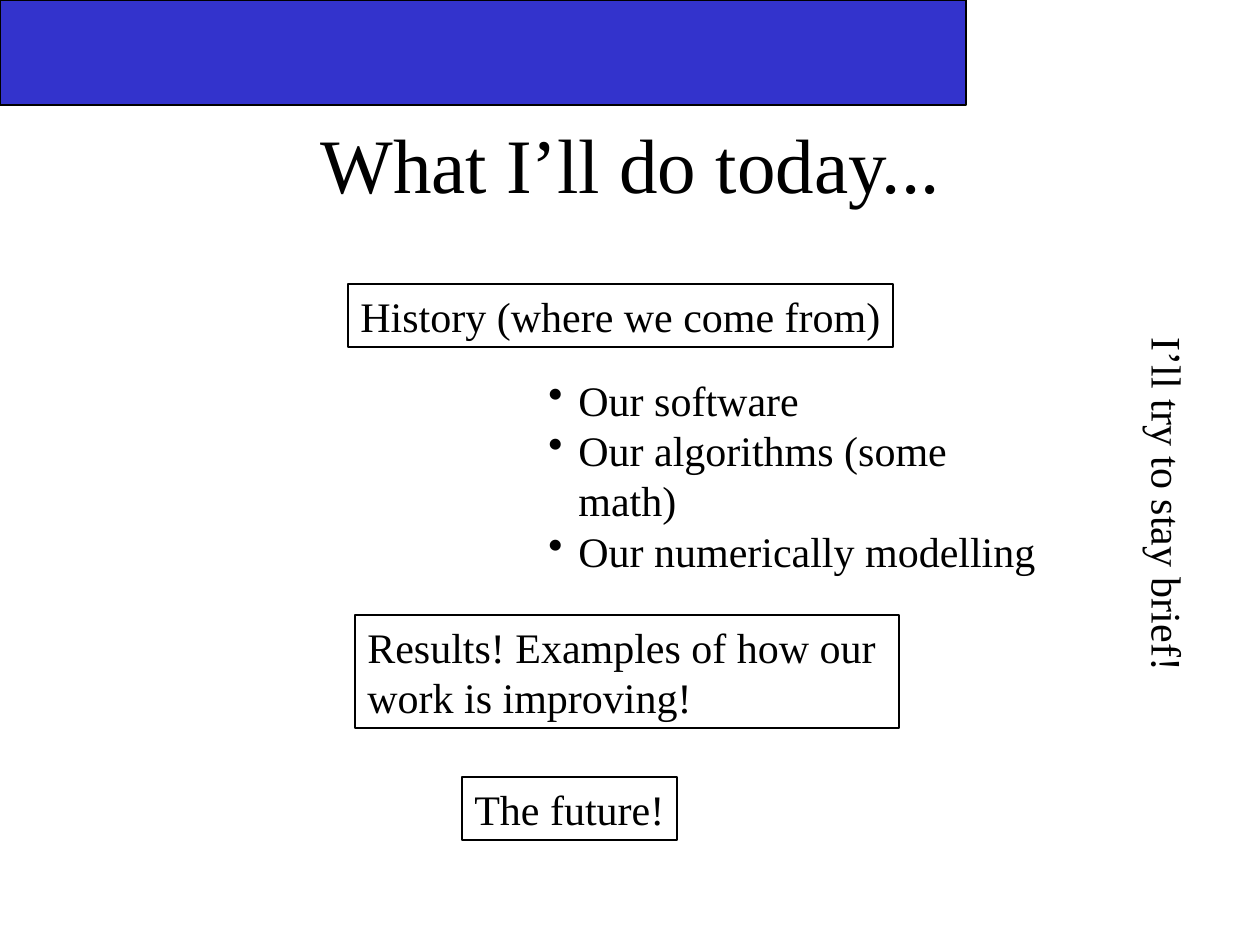
from dataclasses import dataclass

from lxml.etree import SubElement
from pptx import Presentation
from pptx.dml.color import RGBColor
from pptx.enum.shapes import MSO_SHAPE
from pptx.enum.text import MSO_ANCHOR, PP_ALIGN
from pptx.oxml.ns import qn
from pptx.shapes.autoshape import Shape
from pptx.slide import Slide
from pptx.util import Emu, Pt

BLACK = RGBColor(0x00, 0x00, 0x00)
BLUE = RGBColor(0x33, 0x33, 0xCC)
FONT = "Times New Roman"
PX_PER_INCH = 126
BULLET_INDENT = 30


def px(length: int) -> Emu:
    return Emu(round(length * 914400 / PX_PER_INCH))


@dataclass(frozen=True)
class Label:
    text: str
    left: int
    top: int
    width: int
    height: int
    size: int = 24
    align: PP_ALIGN = PP_ALIGN.LEFT
    anchor: MSO_ANCHOR = MSO_ANCHOR.TOP
    outlined: bool = False
    wrap: bool = False
    bulleted: bool = False
    vertical: bool = False


TITLE = Label("What I’ll do today...", 95, 84, 1071, 158, size=44,
              align=PP_ALIGN.CENTER, anchor=MSO_ANCHOR.MIDDLE, wrap=True)
HISTORY = Label("History (where we come from)", 348, 284, 545, 63, outlined=True)
TOPICS = Label("Our software\nOur algorithms (some math)\nOur numerically modelling",
               536, 368, 517, 164, wrap=True, bulleted=True)
RESULTS = Label("Results! Examples of how our\nwork is improving!",
                355, 615, 544, 113, outlined=True)
FUTURE = Label("The future!", 462, 777, 215, 63, outlined=True)
SIDE_NOTE = Label("I’ll try to stay brief!", 1124, 325, 76, 346, vertical=True)


def add_rectangle(slide: Slide, left: int, top: int, width: int, height: int) -> Shape:
    shape = slide.shapes.add_shape(
        MSO_SHAPE.RECTANGLE, px(left), px(top), px(width), px(height))
    shape.shadow.inherit = False
    shape.fill.background()
    shape.line.color.rgb = BLACK
    shape.line.width = Pt(0.75)
    return shape


def add_bullet(paragraph) -> None:
    properties = paragraph._p.get_or_add_pPr()
    properties.set("marL", str(px(BULLET_INDENT)))
    properties.set("indent", str(-px(BULLET_INDENT)))
    SubElement(properties, qn("a:buChar")).set("char", "•")


def turn_vertical(shape: Shape) -> None:
    """Run the text downwards, with the insets turned to match."""
    frame = shape.text_frame
    frame._txBody.bodyPr.set("vert", "eaVert")
    frame.margin_left = frame.margin_right = Emu(45720)
    frame.margin_top = frame.margin_bottom = Emu(91440)


def add_label(slide: Slide, label: Label) -> None:
    box = (label.left, label.top, label.width, label.height)
    if label.outlined:
        shape = add_rectangle(slide, *box)
    else:
        shape = slide.shapes.add_textbox(*map(px, box))
    frame = shape.text_frame
    frame.text = label.text
    frame.word_wrap = label.wrap
    frame.vertical_anchor = label.anchor
    if label.vertical:
        turn_vertical(shape)
    for paragraph in frame.paragraphs:
        paragraph.alignment = label.align
        if label.bulleted:
            add_bullet(paragraph)
        for run in paragraph.runs:
            run.font.name = FONT
            run.font.size = Pt(label.size)
            run.font.color.rgb = BLACK


def main() -> None:
    presentation = Presentation()
    presentation.slide_width = px(1260)
    presentation.slide_height = px(945)
    slide = presentation.slides.add_slide(presentation.slide_layouts[6])

    for label in (TITLE, HISTORY, TOPICS, RESULTS, FUTURE):
        add_label(slide, label)
    banner = add_rectangle(slide, 0, 0, 966, 105)
    banner.fill.solid()
    banner.fill.fore_color.rgb = BLUE
    add_label(slide, SIDE_NOTE)

    presentation.save("out.pptx")


if __name__ == "__main__":
    main()
